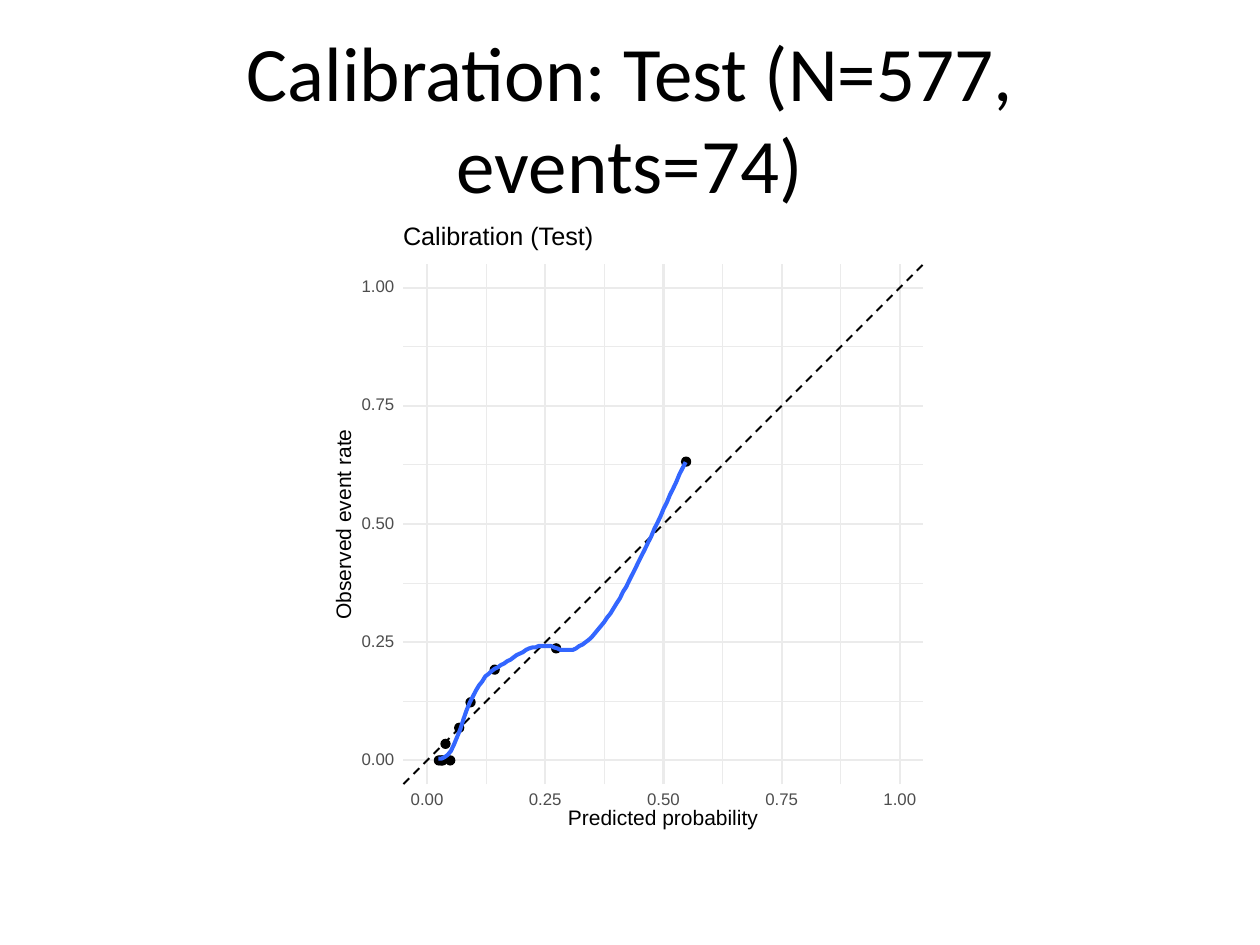
from dataclasses import dataclass

from lxml.etree import SubElement
from pptx import Presentation
from pptx.dml.color import RGBColor
from pptx.enum.dml import MSO_LINE
from pptx.enum.shapes import MSO_CONNECTOR, MSO_SHAPE
from pptx.enum.text import MSO_ANCHOR, PP_ALIGN
from pptx.oxml.ns import qn
from pptx.shapes.shapetree import GroupShapes
from pptx.slide import Slide
from pptx.util import Cm, Pt

BLACK = RGBColor(0x00, 0x00, 0x00)
GRAY = RGBColor(0x4D, 0x4D, 0x4D)
PALE = RGBColor(0xEB, 0xEB, 0xEB)
BLUE = RGBColor(0x33, 0x66, 0xFF)

LEFT, BASE, SPAN = 8.61, 15.33, 9.53
LOW, HIGH = -5, 105
MAJOR = (0, 25, 50, 75, 100)
MINOR = (12.5, 37.5, 62.5, 87.5)
DOT = 0.18

POINTS = (
    (2.5, 0), (3, 0), (3.3, 0), (3.9, 3.5), (4.9, 0),
    (6.8, 6.9), (9.2, 12.3), (14.3, 19.2), (27.3, 23.7), (54.8, 63.2),
)
START, END = 2.4, 54.7
CURVE = (
    0.4, 0.4, 0.7, 1.2, 2, 3.4, 5, 6.6, 8.7, 10.6, 12.2, 13.5, 14.8, 15.9,
    16.7, 17.8, 18.3, 18.9, 19.4, 19.7, 20.2, 20.5, 21, 21.3, 21.8, 22.3,
    22.6, 22.9, 23.4, 23.7, 23.9, 23.9, 24.2, 24.2, 24.2, 24.2, 24.2, 23.9,
    23.7, 23.4, 23.4, 23.4, 23.4, 23.4, 23.7, 24.2, 24.5, 25, 25.5, 26.1,
    26.9, 27.7, 28.5, 29.3, 30.3, 31.1, 32.2, 33.3, 34.3, 35.7, 36.7, 38.1,
    39.4, 40.7, 42.1, 43.4, 44.7, 46.1, 47.4, 49, 50.3, 51.7, 53.3, 54.6,
    56.2, 57.5, 58.9, 60.5, 61.8, 63.1,
)


@dataclass
class Label:
    text: str
    x: float
    y: float
    wide: float
    high: float
    size: float
    color: RGBColor = BLACK
    turn: int = 0


@dataclass
class Rule:
    x1: float
    y1: float
    x2: float
    y2: float
    width: float
    color: RGBColor = PALE
    dash: bool = False


NAMES = (
    Label("Predicted probability", 13.37, 16.52, 3.84, 0.38, 12),
    Label("Observed event rate", 6.95, 10.57, 3.84, 0.3, 12, turn=270),
    Label("Calibration (Test)", 10.07, 4.79, 3.89, 0.48, 14.4),
)


def across(value: float) -> float:
    return LEFT + SPAN * value / 100


def up(value: float) -> float:
    return BASE - SPAN * value / 100


def draw_rule(plot: GroupShapes, rule: Rule) -> None:
    line = plot.add_connector(
        MSO_CONNECTOR.STRAIGHT,
        Cm(across(rule.x1)), Cm(up(rule.y1)),
        Cm(across(rule.x2)), Cm(up(rule.y2)),
    )
    line.line.color.rgb = rule.color
    line.line.width = Pt(rule.width)
    if rule.dash:
        line.line.dash_style = MSO_LINE.DASH
    SubElement(line._element.spPr, qn("a:effectLst"))


def draw_grid(plot: GroupShapes) -> None:
    for marks, width in ((MINOR, 0.58), (MAJOR, 1.16)):
        for mark in marks:
            draw_rule(plot, Rule(LOW, mark, HIGH, mark, width))
        for mark in marks:
            draw_rule(plot, Rule(mark, LOW, mark, HIGH, width))


def draw_dot(plot: GroupShapes, x: float, y: float) -> None:
    dot = plot.add_shape(
        MSO_SHAPE.OVAL, Cm(across(x) - DOT / 2), Cm(up(y) - DOT / 2), Cm(DOT), Cm(DOT)
    )
    dot.shadow.inherit = False
    dot.fill.solid()
    dot.fill.fore_color.rgb = BLACK
    dot.line.color.rgb = BLACK
    dot.line.width = Pt(0.77)


def draw_curve(plot: GroupShapes) -> None:
    step = (END - START) / (len(CURVE) - 1)
    path = [(Cm(across(START + i * step)), Cm(up(y))) for i, y in enumerate(CURVE)]
    pen = plot.build_freeform(*path[0])
    pen.add_line_segments(path[1:], close=False)
    curve = pen.convert_to_shape()
    curve.shadow.inherit = False
    curve.fill.background()
    curve.line.color.rgb = BLUE
    curve.line.width = Pt(2.33)


def draw_label(plot: GroupShapes, label: Label) -> None:
    box = plot.add_textbox(
        Cm(label.x - label.wide / 2), Cm(label.y - label.high / 2),
        Cm(label.wide), Cm(label.high),
    )
    box.rotation = label.turn
    frame = box.text_frame
    frame.word_wrap = False
    frame.vertical_anchor = MSO_ANCHOR.MIDDLE
    frame.margin_left = frame.margin_right = frame.margin_top = frame.margin_bottom = 0
    line = frame.paragraphs[0]
    line.line_spacing = Pt(label.size)
    run = line.add_run()
    run.text = label.text
    run.font.name = "Arial"
    run.font.size = Pt(label.size)
    run.font.color.rgb = label.color


def draw_ticks(plot: GroupShapes) -> None:
    for mark in MAJOR:
        text = f"{mark / 100:.2f}"
        draw_label(plot, Label(text, 7.62, up(mark), 0.66, 0.25, 9.6, GRAY))
        draw_label(plot, Label(text, across(mark), 16.13, 0.66, 0.25, 9.6, GRAY))


def draw_title(slide: Slide) -> None:
    box = slide.shapes.add_textbox(Cm(1.27), Cm(0.76), Cm(22.86), Cm(3.18))
    frame = box.text_frame
    frame.word_wrap = True
    frame.vertical_anchor = MSO_ANCHOR.MIDDLE
    line = frame.paragraphs[0]
    line.alignment = PP_ALIGN.CENTER
    run = line.add_run()
    run.text = "Calibration: Test (N=577, events=74)"
    run.font.name = "Calibri"
    run.font.size = Pt(44)
    run.font.color.rgb = BLACK


def main() -> None:
    """Build the calibration slide and save it."""
    deck = Presentation()
    deck.slide_width, deck.slide_height = Cm(25.4), Cm(19.05)
    slide = deck.slides.add_slide(deck.slide_layouts[6])
    draw_title(slide)
    plot = slide.shapes.add_group_shape().shapes
    draw_grid(plot)
    draw_rule(plot, Rule(LOW, LOW, HIGH, HIGH, 1.16, BLACK, True))
    for x, y in POINTS:
        draw_dot(plot, x, y)
    draw_curve(plot)
    draw_ticks(plot)
    for name in NAMES:
        draw_label(plot, name)
    deck.save("out.pptx")


if __name__ == "__main__":
    main()
